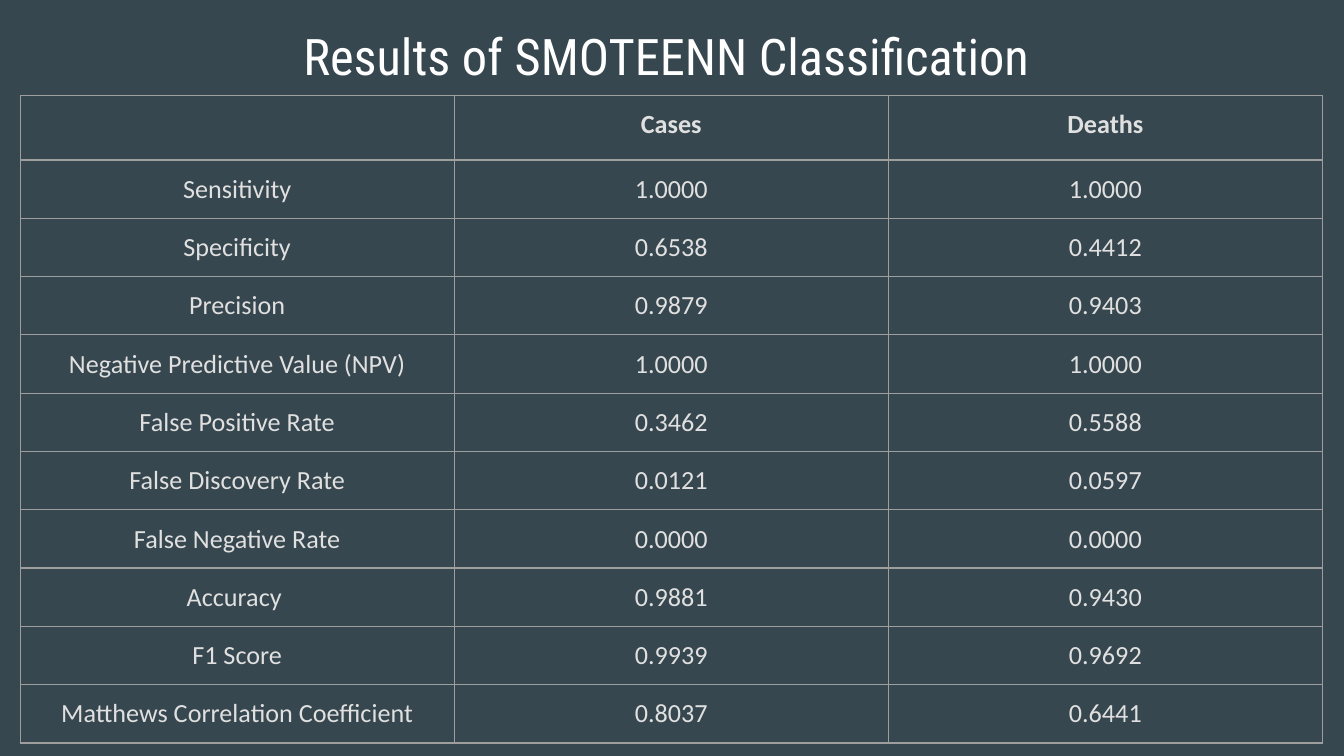
from dataclasses import dataclass

from lxml.etree import SubElement
from pptx import Presentation
from pptx.dml.color import RGBColor as RGB
from pptx.enum.text import MSO_ANCHOR as Anchor, PP_ALIGN as Align
from pptx.oxml.ns import qn
from pptx.util import Inches, Pt


@dataclass(frozen=True)
class Theme:
    background: str = "37474F"
    title_color: str = "FFFFFF"
    body_color: str = "E0E0E0"
    border_color: str = "9E9E9E"
    title_font: str = "Roboto Condensed"
    body_font: str = "Calibri"
    title_size: float = 27
    body_size: float = 14
    border_width: float = 0.75
    inset: float = 0.1


def write(tf, text, *, font, size, color, bold=False, align=Align.CENTER):
    p = tf.paragraphs[0]
    p.alignment = align
    if not text:
        SubElement(p._p, qn("a:endParaRPr"), sz=str(size * 100))
        return
    r = p.add_run()
    r.text = text
    r.font.name = font
    r.font.size = Pt(size)
    r.font.bold = bold
    r.font.color.rgb = RGB.from_string(color)


def set_insets(box, inset):
    for side in ("left", "top", "right", "bottom"):
        setattr(box, f"margin_{side}", Inches(inset))


class SlideBuilder:
    def __init__(self, prs, theme):
        self.theme = theme
        self.slide = prs.slides.add_slide(prs.slide_layouts[6])
        fill = self.slide.background.fill
        fill.solid()
        fill.fore_color.rgb = RGB.from_string(theme.background)

    def title(self, text, left, top, width, height):
        t = self.theme
        sp = self.slide.shapes.add_textbox(
            Inches(left), Inches(top), Inches(width), Inches(height))
        tf = sp.text_frame
        tf.word_wrap = True
        tf.vertical_anchor = Anchor.TOP
        set_insets(tf, t.inset)
        write(tf, text, font=t.title_font, size=t.title_size, color=t.title_color)

    def table(self, rows, left, top, col_width, row_height, header_height):
        t = self.theme
        n_cols = len(rows[0])
        height = header_height + row_height * (len(rows) - 1)
        frame = self.slide.shapes.add_table(
            len(rows), n_cols, Inches(left), Inches(top),
            Inches(col_width * n_cols), Inches(height))
        table = frame.table
        table.first_row = table.horz_banding = False
        for col in table.columns:
            col.width = Inches(col_width)
        for i, values in enumerate(rows):
            table.rows[i].height = Inches(row_height if i else header_height)
            for j, value in enumerate(values):
                cell = table.cell(i, j)
                set_insets(cell, t.inset)
                write(cell.text_frame, value, font=t.body_font,
                      size=t.body_size, color=t.body_color, bold=i == 0)
                self.borders(cell)
                cell.fill.background()

    def borders(self, cell):
        t = self.theme
        tc_pr = cell._tc.get_or_add_tcPr()
        for side in ("lnL", "lnR", "lnT", "lnB"):
            ln = SubElement(tc_pr, qn(f"a:{side}"), w=str(Pt(t.border_width)))
            fill = SubElement(ln, qn("a:solidFill"))
            SubElement(fill, qn("a:srgbClr"), val=t.border_color)


RESULTS = [
    ("", "Cases", "Deaths"),
    ("Sensitivity", "1.0000", "1.0000"),
    ("Specificity", "0.6538", "0.4412"),
    ("Precision", "0.9879", "0.9403"),
    ("Negative Predictive Value (NPV)", "1.0000", "1.0000"),
    ("False Positive Rate", "0.3462", "0.5588"),
    ("False Discovery Rate", "0.0121", "0.0597"),
    ("False Negative Rate", "0.0000", "0.0000"),
    ("Accuracy ", "0.9881", "0.9430"),
    ("F1 Score", "0.9939", "0.9692"),
    ("Matthews Correlation Coefficient", "0.8037", "0.6441"),
]


def main():
    prs = Presentation()
    prs.slide_width = Inches(10)
    prs.slide_height = prs.slide_width * 9 // 16
    s = SlideBuilder(prs, Theme())
    s.title("Results of SMOTEENN Classification ", 0.34, 0.09, 9.32, 0.63)
    s.table(RESULTS, 0.15, 0.71, col_width=3.23, row_height=0.39,
            header_height=0.48)
    prs.save("out.pptx")


if __name__ == "__main__":
    main()
